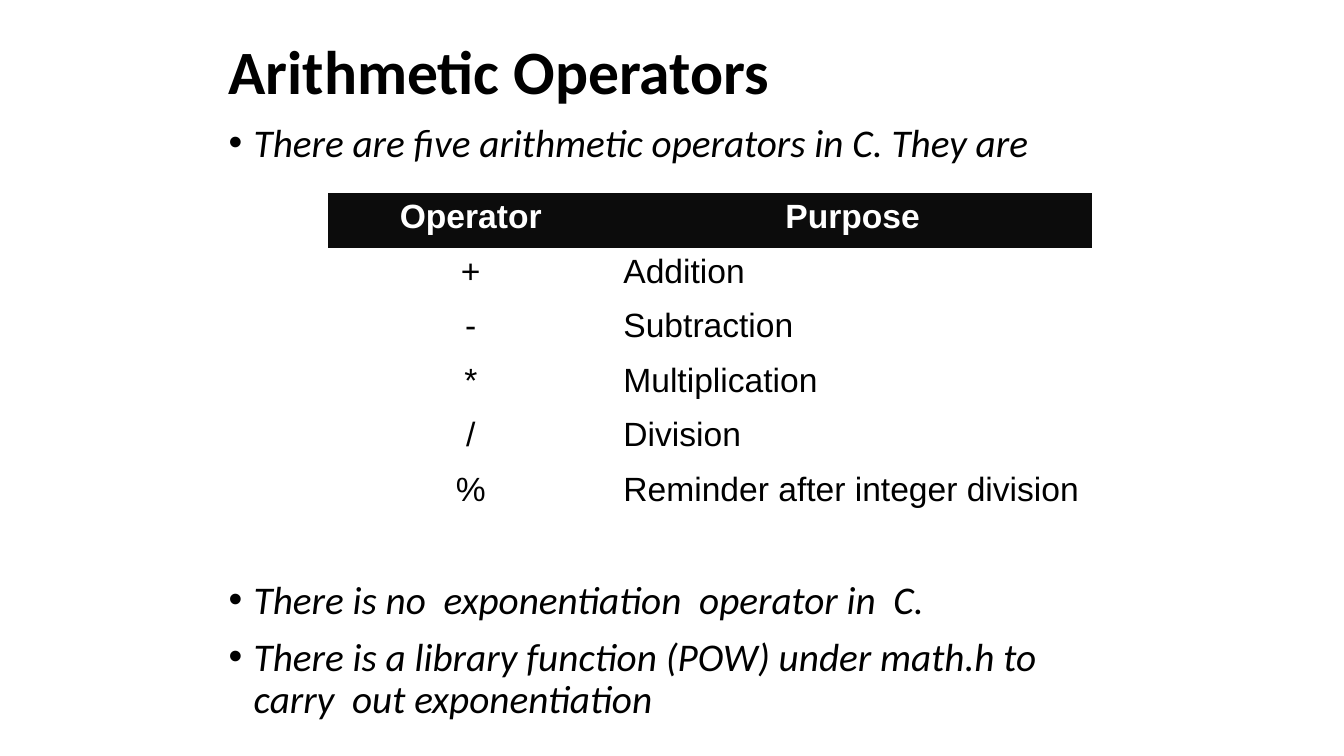
"""Build a slide on the arithmetic operators of C."""
from lxml.etree import SubElement
from pptx import Presentation
from pptx.dml.color import RGBColor
from pptx.enum.text import MSO_ANCHOR as Anchor, PP_ALIGN as Align
from pptx.oxml.ns import qn
from pptx.util import Pt

TITLE = "Arithmetic Operators"
BULLETS = [
    ("There are five arithmetic operators in C. They are", 0),
    ("There is no  exponentiation  operator in  C.", 222),
    ("There is a library function (POW) under math.h to  carry  out exponentiation", 8),
]
ROWS = [
    ("Operator", "Purpose"),
    ("+", "Addition"),
    ("-", "Subtraction"),
    ("*", "Multiplication"),
    ("/", "Division"),
    ("%", "Reminder after integer division"),
]
COL_WIDTHS = (152.8, 256.4)
ROW_HEIGHT = 29.25
LEFT, WIDTH = 117, 486
INDENT = 13.5
BLACK, WHITE, HEADER = "000000", "FFFFFF", "0C0C0C"
NO_GRID_STYLE = "{2D5ABB26-0587-4C30-8999-92F81FD0307C}"


def rgb(color):
    return RGBColor.from_string(color)


def add_run(p, text, size, font, color=BLACK, bold=False, italic=False):
    r = p.add_run()
    r.text = text
    f = r.font
    f.size, f.name, f.bold, f.italic = Pt(size), font, bold, italic
    f.color.rgb = rgb(color)


def add_box(s, top, height, anchor):
    tf = s.shapes.add_textbox(Pt(LEFT), Pt(top), Pt(WIDTH), Pt(height)).text_frame
    tf.word_wrap = True
    tf.vertical_anchor = anchor
    tf.margin_left = tf.margin_right = Pt(5.4)
    tf.margin_top = tf.margin_bottom = Pt(2.7)
    return tf


def add_bullet(p):
    pPr = p._p.get_or_add_pPr()
    pPr.set("marL", str(Pt(INDENT)))
    pPr.set("indent", str(Pt(-INDENT)))
    SubElement(SubElement(pPr, qn("a:buClr")), qn("a:srgbClr"), val=BLACK)
    SubElement(pPr, qn("a:buFont"), typeface="Arial")
    SubElement(pPr, qn("a:buChar"), char="•")


def add_operator_table(s):
    frame = s.shapes.add_table(len(ROWS), len(COL_WIDTHS), Pt(175.8), Pt(103.5),
                               Pt(sum(COL_WIDTHS)), Pt(ROW_HEIGHT * len(ROWS)))
    table = frame.table
    table.horz_banding = False
    table._tbl.tblPr.find(qn("a:tableStyleId")).text = NO_GRID_STYLE
    for col, width in zip(table.columns, COL_WIDTHS):
        col.width = Pt(width)
    for i, row in enumerate(ROWS):
        table.rows[i].height = Pt(ROW_HEIGHT)
        header = i == 0
        for j, text in enumerate(row):
            cell = table.cell(i, j)
            cell.margin_left = cell.margin_right = Pt(5.4)
            cell.margin_top = cell.margin_bottom = Pt(2.7)
            if header:
                cell.fill.solid()
                cell.fill.fore_color.rgb = rgb(HEADER)
            else:
                cell.fill.background()
            p = cell.text_frame.paragraphs[0]
            p.alignment = Align.CENTER if header or j == 0 else Align.LEFT
            add_run(p, text, 18, "Arial", WHITE if header else BLACK, bold=header)


def main():
    prs = Presentation()
    prs.slide_width, prs.slide_height = Pt(720), Pt(405)
    s = prs.slides.add_slide(prs.slide_layouts[6])

    p = add_box(s, 16.5, 47, Anchor.MIDDLE).paragraphs[0]
    p.line_spacing = 0.9
    add_run(p, TITLE, 33, "Calibri", bold=True)

    tf = add_box(s, 63.5, 328, Anchor.TOP)
    for i, (text, before) in enumerate(BULLETS):
        p = tf.add_paragraph() if i else tf.paragraphs[0]
        add_bullet(p)
        p.line_spacing = 0.9
        if before:
            p.space_before = Pt(before)
        add_run(p, text, 21, "Calibri", italic=True)

    add_operator_table(s)
    prs.save("out.pptx")


if __name__ == "__main__":
    main()
